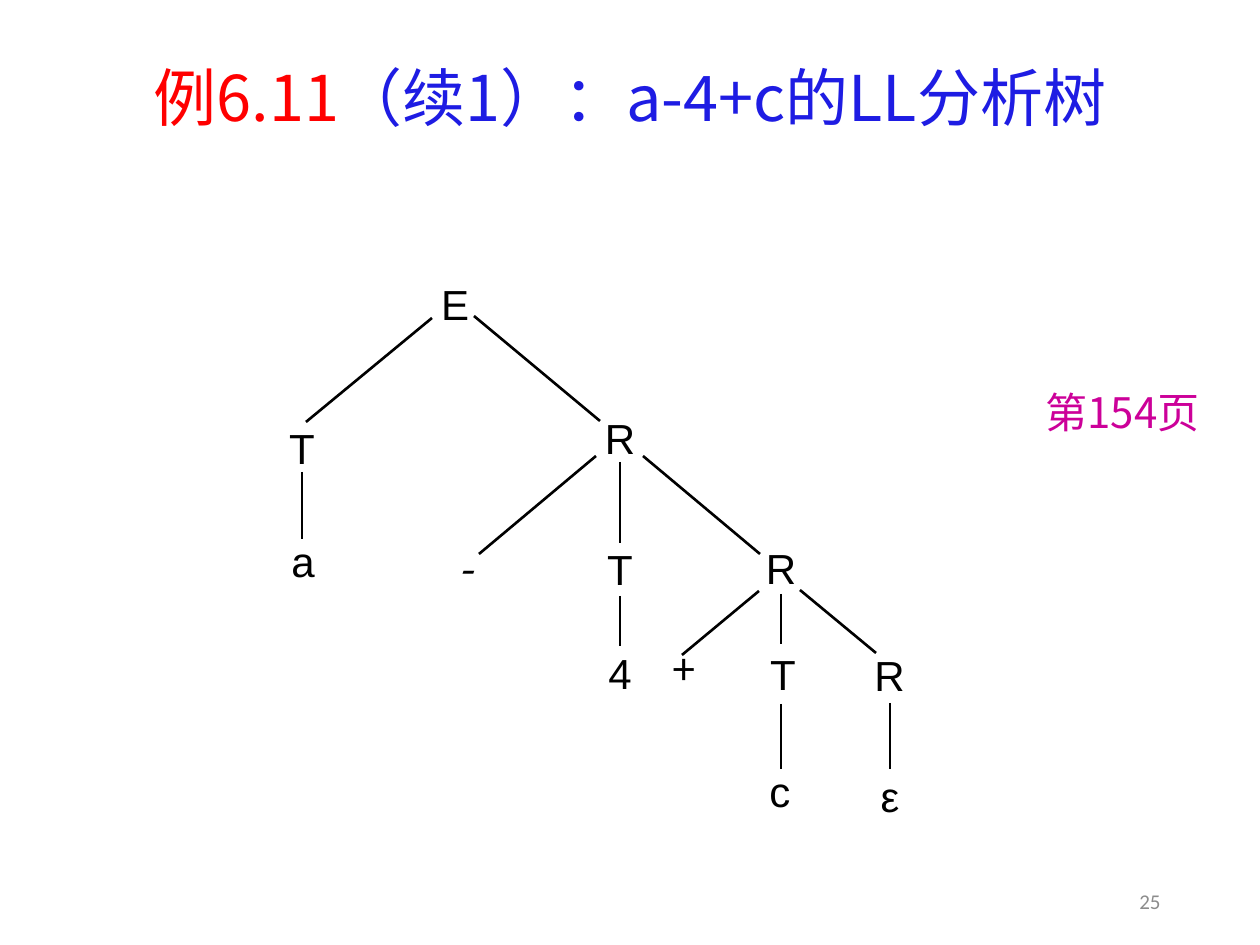
"""Build the slide with the LL parse tree of a-4+c."""
from lxml.etree import SubElement
from pptx import Presentation
from pptx.dml.color import RGBColor
from pptx.enum.shapes import MSO_CONNECTOR as Connector
from pptx.enum.text import MSO_ANCHOR as Anchor, MSO_AUTO_SIZE as AutoSize, PP_ALIGN as Align
from pptx.oxml.ns import qn
from pptx.util import Pt

SCALE = 914400 / 126
COLORS = {"black": "000000", "red": "FF0000", "blue": "1E1CE3",
          "magenta": "CC0099", "gray": "8C8C8C"}
TOP, BOTTOM = 0, 2
CJK = "Noto Sans CJK SC"

NODES = {
    "E": ("E", 388, 277, 134, 72),
    "left T": ("T", 271, 422, 62, 50),
    "a": ("a", 271, 534, 64, 45),
    "first R": ("R", 582, 412, 76, 50),
    "minus": ("-", 433, 541, 63, 54),
    "middle T": ("T", 574, 543, 92, 48),
    "4": ("4", 581, 646, 78, 47),
    "second R": ("R", 753, 542, 56, 52),
    "plus": ("+", 653, 643, 62, 60),
    "right T": ("T", 746, 648, 74, 50),
    "c": ("c", 748, 765, 64, 44),
    "third R": ("R", 834, 648, 111, 72),
    "epsilon": ("ε", 862, 769, 56, 42),
}
NODE_FORMATS = {"minus": {"name": CJK, "italic": True}, "plus": {"name": CJK}}
EDGES = [
    (432, 318, 306, 422, None, None),
    (474, 316, 600, 421, None, None),
    (302, 475, 302, 539, "left T", None),
    (596, 456, 479, 554, None, None),
    (620, 461, 620, 546, "first R", "middle T"),
    (643, 456, 760, 554, None, None),
    (620, 596, 620, 646, None, "4"),
    (759, 591, 682, 655, None, None),
    (781, 595, 781, 644, "second R", None),
    (800, 590, 876, 653, None, None),
    (781, 704, 781, 769, None, None),
    (890, 703, 890, 767, None, "epsilon"),
]


def px(*values):
    """Turn pixels into EMU."""
    return [round(value * SCALE) for value in values]


class SlideBuilder:
    """Hold the style and the current slide."""

    def __init__(self, deck):
        """Add a title-only slide."""
        self.page = deck.slides.add_slide(deck.slide_layouts[5])
        self.base = {"name": "Arial", "size": Pt(24)}

    def fill_text(self, box, spans, align, frame_format, **formats):
        """Fill a shape with one paragraph of coloured spans."""
        frame = box.text_frame
        settings = {"word_wrap": True, "auto_size": AutoSize.NONE, **frame_format}
        for key, value in settings.items():
            setattr(frame, key, value)
        para = frame.paragraphs[0]
        para.alignment = align
        for text, color in spans:
            span = para.add_run()
            span.text = text
            for key, value in {**self.base, **formats}.items():
                setattr(span.font, key, value)
            span.font.color.rgb = RGBColor.from_string(COLORS[color])
            SubElement(span.font._element, qn("a:ea"), typeface=span.font.name)
        return para

    def title(self, spans, bounds, **formats):
        """Place and fill the title placeholder."""
        box = self.page.shapes.title
        for key, value in zip(("left", "top", "width", "height"), px(*bounds)):
            setattr(box, key, value)
        para = self.fill_text(box, spans, Align.CENTER,
                              {"vertical_anchor": Anchor.MIDDLE}, **formats)
        para.line_spacing = 0.9

    def label(self, text, color, bounds, align=Align.CENTER, **formats):
        """Add a vertically centred text box."""
        box = self.page.shapes.add_textbox(*px(*bounds))
        self.fill_text(box, [(text, color)], align,
                       {"vertical_anchor": Anchor.MIDDLE}, **formats)

    def node(self, text, bounds, **formats):
        """Add a symbol of the tree."""
        box = self.page.shapes.add_textbox(*px(*bounds))
        side, end = px(3, 1)
        margins = {"margin_left": side, "margin_right": side,
                   "margin_top": end, "margin_bottom": end}
        self.fill_text(box, [(text, "black")], Align.CENTER, margins, **formats)
        return box

    def edge(self, ends, parent, child):
        """Draw a branch, joined to the given nodes."""
        line = self.page.shapes.add_connector(Connector.STRAIGHT, *px(*ends))
        line.line.width = Pt(1.5)
        line.line.color.rgb = RGBColor.from_string(COLORS["black"])
        SubElement(line._element.spPr, qn("a:effectLst"))
        if parent:
            line.begin_connect(parent, BOTTOM)
        if child:
            line.end_connect(child, TOP)


def main():
    """Build and save the deck."""
    deck = Presentation()
    deck.slide_width, deck.slide_height = px(1260, 945)
    slide = SlideBuilder(deck)
    slide.title([("例6.11", "red"), ("（续1）：a-4+c的LL分析树", "blue")],
                (87, 50, 1086, 103), name="Noto Sans CJK JP", size=Pt(36))
    slide.label("25", "gray", (1100, 876, 73, 50), Align.RIGHT,
                name="Calibri", size=Pt(12))
    boxes = {key: slide.node(text, bounds, **NODE_FORMATS.get(key, {}))
             for key, (text, *bounds) in NODES.items()}
    for *ends, parent, child in EDGES:
        slide.edge(ends, boxes.get(parent), boxes.get(child))
    slide.label("第154页", "magenta", (1031, 386, 183, 52), name=CJK)
    deck.save("out.pptx")


if __name__ == "__main__":
    main()
